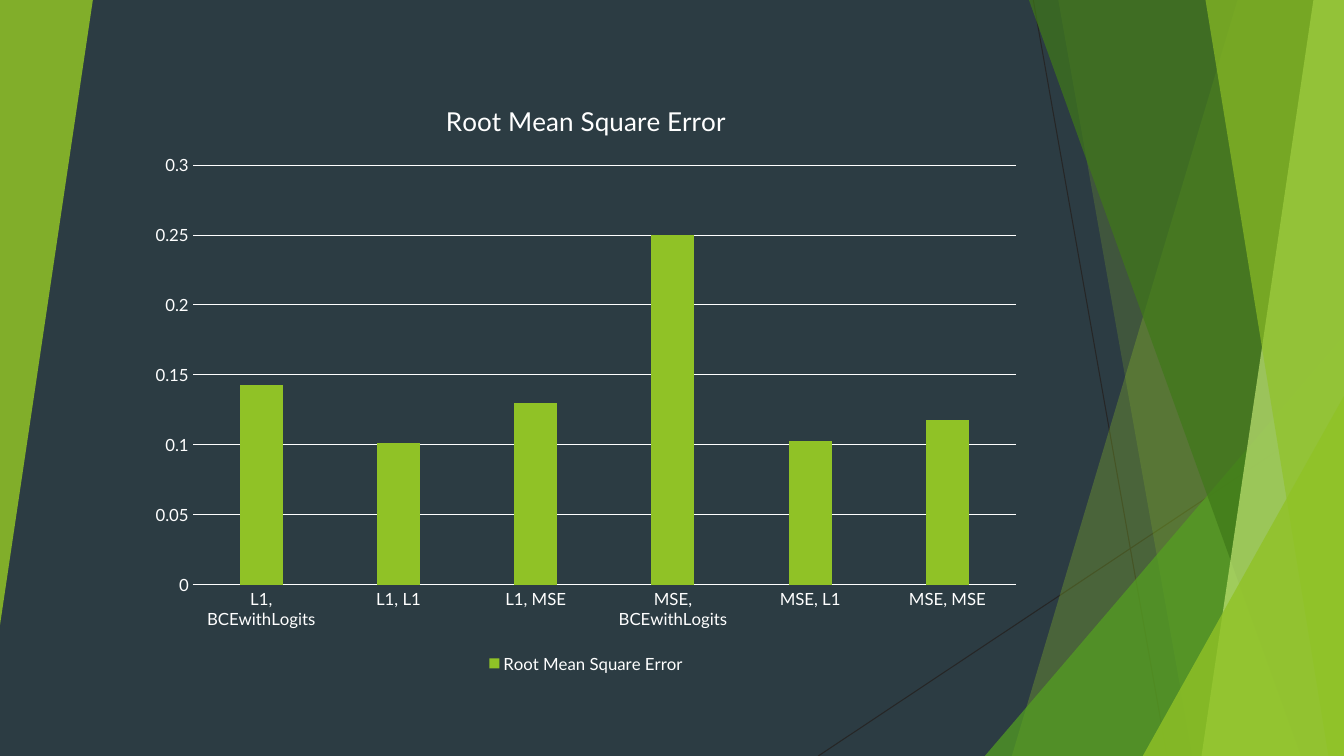
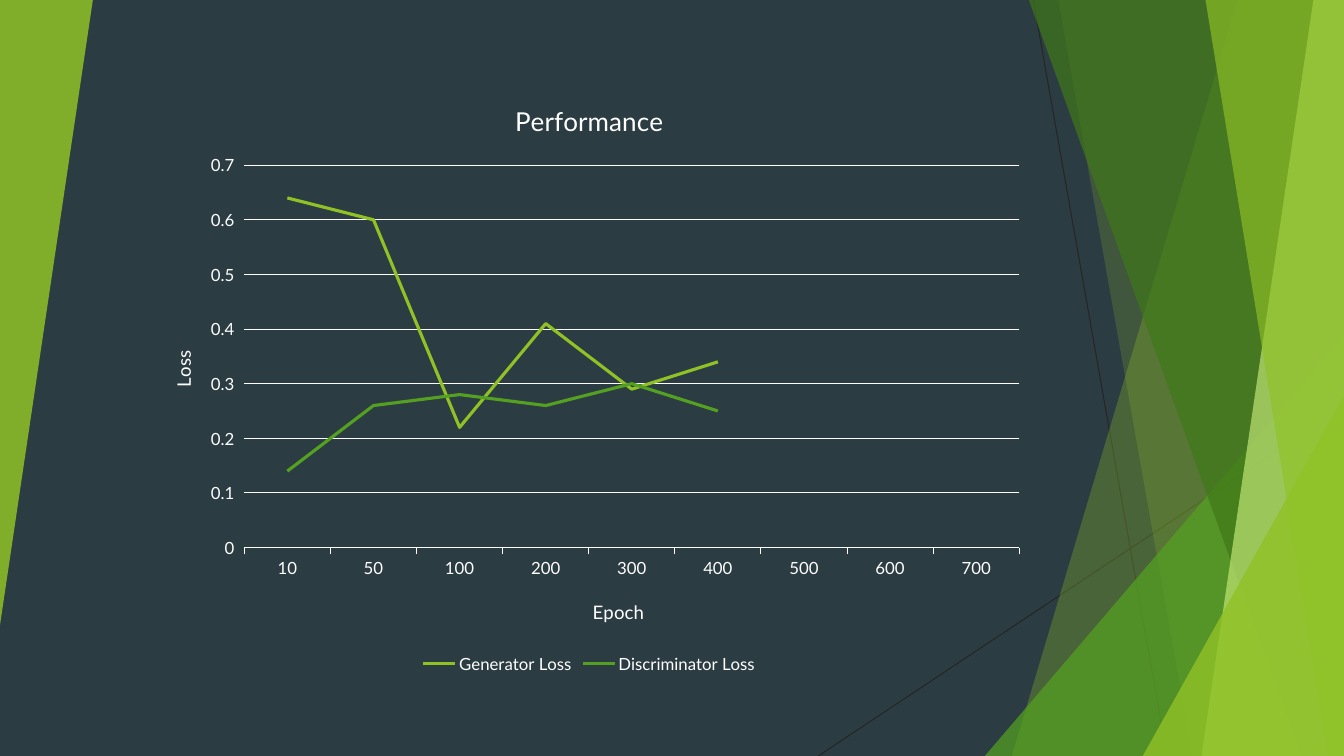
from lxml.etree import SubElement
from pptx import Presentation
from pptx.chart.data import CategoryChartData
from pptx.dml.color import RGBColor
from pptx.enum.chart import XL_CHART_TYPE, XL_LEGEND_POSITION, XL_TICK_MARK
from pptx.enum.shapes import MSO_CONNECTOR, MSO_SHAPE
from pptx.oxml.ns import qn
from pptx.util import Cm, Pt

COLORS = {
    "background": "2C3C43",
    "text": "FFFFFF",
    "hairline": "262626",
    "lime": "90C226",
    "green": "54A021",
    "forest": "3F7819",
    "pale": "C0E474",
}
FONT = "Lato"
SLIDE_WIDTH, SLIDE_HEIGHT = 33.87, 19.05
CHART_TOP, CHART_WIDTH, CHART_HEIGHT = 2.01, 22.58, 15.06

HAIRLINES = [
    (26.04, 0, 29.41, SLIDE_HEIGHT),
    (SLIDE_WIDTH, 10.24, 20.62, SLIDE_HEIGHT),
]
RIGHT_FACETS = [
    ("panel", 31.19, 25.5, "lime", 30),
    ("panel", 26.67, 30.05, "lime", 20),
    ("corner", 24.82, 8.46, "green", 72),
    ("panel", 25.93, 32.79, "forest", 70),
    ("panel", 33.1, 30.28, "pale", 70),
    ("panel", 30.38, 33.48, "lime", 65),
    ("corner", 28.8, 9.98, "lime", 80),
]
LEFT_FACET = (2.34, 15.75, "lime", 85)

CHARTS = [
    {
        "kind": XL_CHART_TYPE.COLUMN_CLUSTERED,
        "title": "Root Mean Square Error",
        "left": 3.48,
        "plot": (6.1, 14.3, 91.9, 70.2),
        "categories": ["L1, BCEwithLogits", "L1, L1", "L1, MSE",
                       "MSE, BCEwithLogits", "MSE, L1", "MSE, MSE"],
        "series": [
            ("Root Mean Square Error", "lime", [0.143, 0.101, 0.13, 0.25, 0.103, 0.118]),
        ],
        "scale": (0.3, 0.05),
        "tick": XL_TICK_MARK.NONE,
    },
    {
        "kind": XL_CHART_TYPE.LINE,
        "title": "Performance",
        "left": 3.56,
        "plot": (11.5, 14.3, 86.5, 64),
        "categories": ["10", "50", "100", "200", "300", "400", "500", "600", "700"],
        "series": [
            ("Generator Loss", "lime", [0.64, 0.6, 0.22, 0.41, 0.29, 0.34] + [None] * 3),
            ("Discriminator Loss", "green", [0.14, 0.26, 0.28, 0.26, 0.3, 0.25] + [None] * 3),
        ],
        "scale": (0.7, 0.1),
        "tick": XL_TICK_MARK.OUTSIDE,
        "axis_titles": {
            "category": ("Epoch", (50, 86.3), 0),
            "value": ("Loss", (2.8, 44.7), -90),
        },
    },
]


def color(name):
    return RGBColor.from_string(COLORS[name])


def format_font(font, size, bold=False):
    font.name = FONT
    font.size = Pt(size)
    font.bold = bold
    font.color.rgb = color("text")


def write_text(frame, text, size=12, bold=False, rotation=0):
    frame.text = text
    format_font(frame.paragraphs[0].runs[0].font, size, bold)
    return rotation * 60000


def set_layout(parent, percentages, inner=False):
    old_layout = parent.find(qn("c:layout"))
    if old_layout is not None:
        parent.remove(old_layout)
    layout = SubElement(parent, qn("c:layout"))
    parent.insert(0 if parent.find(qn("c:tx")) is None else 1, layout)
    manual = SubElement(layout, qn("c:manualLayout"))
    settings = [("layoutTarget", "inner")] if inner else []
    settings += [("xMode", "edge"), ("yMode", "edge")]
    settings += [(key, f"{value / 100:.3f}") for key, value in zip("xywh", percentages)]
    for tag, value in settings:
        SubElement(manual, qn(f"c:{tag}")).set("val", value)


def paint_facet(shape, fill, opacity):
    shape.shadow.inherit = False
    shape.fill.solid()
    shape.fill.fore_color.rgb = color(fill)
    alpha = SubElement(shape.element.find(f".//{qn('a:srgbClr')}"), qn("a:alpha"))
    alpha.set("val", str(opacity * 1000))
    shape.line.fill.background()
    return shape


def draw_facet(shapes, kind, first, second, fill, opacity):
    if kind == "panel":
        builder = shapes.build_freeform(Cm(first), 0)
        builder.add_line_segments([
            (Cm(SLIDE_WIDTH), 0),
            (Cm(SLIDE_WIDTH), Cm(SLIDE_HEIGHT)),
            (Cm(second), Cm(SLIDE_HEIGHT)),
        ])
        shape = builder.convert_to_shape()
    else:
        shape = shapes.add_shape(
            MSO_SHAPE.ISOSCELES_TRIANGLE, Cm(first), Cm(second),
            Cm(SLIDE_WIDTH - first), Cm(SLIDE_HEIGHT - second))
        shape.adjustments[0] = 1
    return paint_facet(shape, fill, opacity)


def decorate_master(master, slide):
    master.background.fill.solid()
    master.background.fill.fore_color.rgb = color("background")
    decorations = []
    for hairline in HAIRLINES:
        connector = slide.shapes.add_connector(
            MSO_CONNECTOR.STRAIGHT, *[Cm(value) for value in hairline])
        connector.line.color.rgb = color("hairline")
        connector.line.width = Pt(0.75)
        SubElement(connector.element.find(qn("p:spPr")), qn("a:effectLst"))
        decorations.append(connector)
    for facet in RIGHT_FACETS:
        decorations.append(draw_facet(slide.shapes, *facet))
    width, height, fill, opacity = LEFT_FACET
    triangle = slide.shapes.add_shape(
        MSO_SHAPE.ISOSCELES_TRIANGLE, 0, 0, Cm(width), Cm(height))
    triangle.adjustments[0] = 1
    triangle.rotation = 180
    decorations.append(paint_facet(triangle, fill, opacity))
    for position, shape in enumerate(decorations, start=2):
        master.shapes.element.insert(position, shape.element)


def format_axes(chart, content):
    category_axis, value_axis = chart.category_axis, chart.value_axis
    for axis in (category_axis, value_axis):
        axis.major_tick_mark = content["tick"]
        axis.minor_tick_mark = XL_TICK_MARK.NONE
        format_font(axis.tick_labels.font, 12)
    category_axis.has_major_gridlines = False
    value_axis.has_major_gridlines = True
    value_axis.minimum_scale = 0
    value_axis.maximum_scale, value_axis.major_unit = content["scale"]
    value_axis.tick_labels.number_format = "General"
    value_axis.tick_labels.number_format_is_linked = False
    value_axis.format.line.fill.background()
    for line in (category_axis.format.line, value_axis.major_gridlines.format.line):
        line.color.rgb = color("text")
        line.width = Pt(0.75)
    axes = {"category": category_axis, "value": value_axis}
    for name, (text, position, rotation) in content.get("axis_titles", {}).items():
        title = axes[name].axis_title
        angle = write_text(title.text_frame, text, size=13.3, rotation=rotation)
        title.element.find(f".//{qn('a:bodyPr')}").set("rot", str(angle))
        set_layout(title.element, position)


def add_chart(slide, content):
    data = CategoryChartData()
    data.categories = content["categories"]
    for name, _, values in content["series"]:
        data.add_series(name, values)
    chart = slide.shapes.add_chart(
        content["kind"], Cm(content["left"]), Cm(CHART_TOP),
        Cm(CHART_WIDTH), Cm(CHART_HEIGHT), data).chart
    format_font(chart.font, 10)
    chart.has_title = True
    write_text(chart.chart_title.text_frame, content["title"], size=18.6)
    chart.has_legend = True
    chart.legend.position = XL_LEGEND_POSITION.BOTTOM
    chart.legend.include_in_layout = False
    format_font(chart.legend.font, 12)
    format_axes(chart, content)
    plot = chart.plots[0]
    plot.vary_by_categories = False
    is_line = content["kind"] == XL_CHART_TYPE.LINE
    if not is_line:
        plot.gap_width, plot.overlap = 219, -27
    for series, (_, fill, _) in zip(plot.series, content["series"]):
        if is_line:
            series.smooth = False
            series.format.line.color.rgb = color(fill)
            series.format.line.width = Pt(2.25)
        else:
            series.format.fill.solid()
            series.format.fill.fore_color.rgb = color(fill)
    set_layout(chart.element.find(f".//{qn('c:plotArea')}"), content["plot"], inner=True)


def main():
    presentation = Presentation()
    presentation.slide_width = Cm(SLIDE_WIDTH)
    presentation.slide_height = Cm(SLIDE_HEIGHT)
    blank_layout = presentation.slide_layouts[6]
    slides = [presentation.slides.add_slide(blank_layout) for _ in CHARTS]
    decorate_master(presentation.slide_master, slides[0])
    for slide, content in zip(slides, CHARTS):
        add_chart(slide, content)
    presentation.save("out.pptx")


if __name__ == "__main__":
    main()
